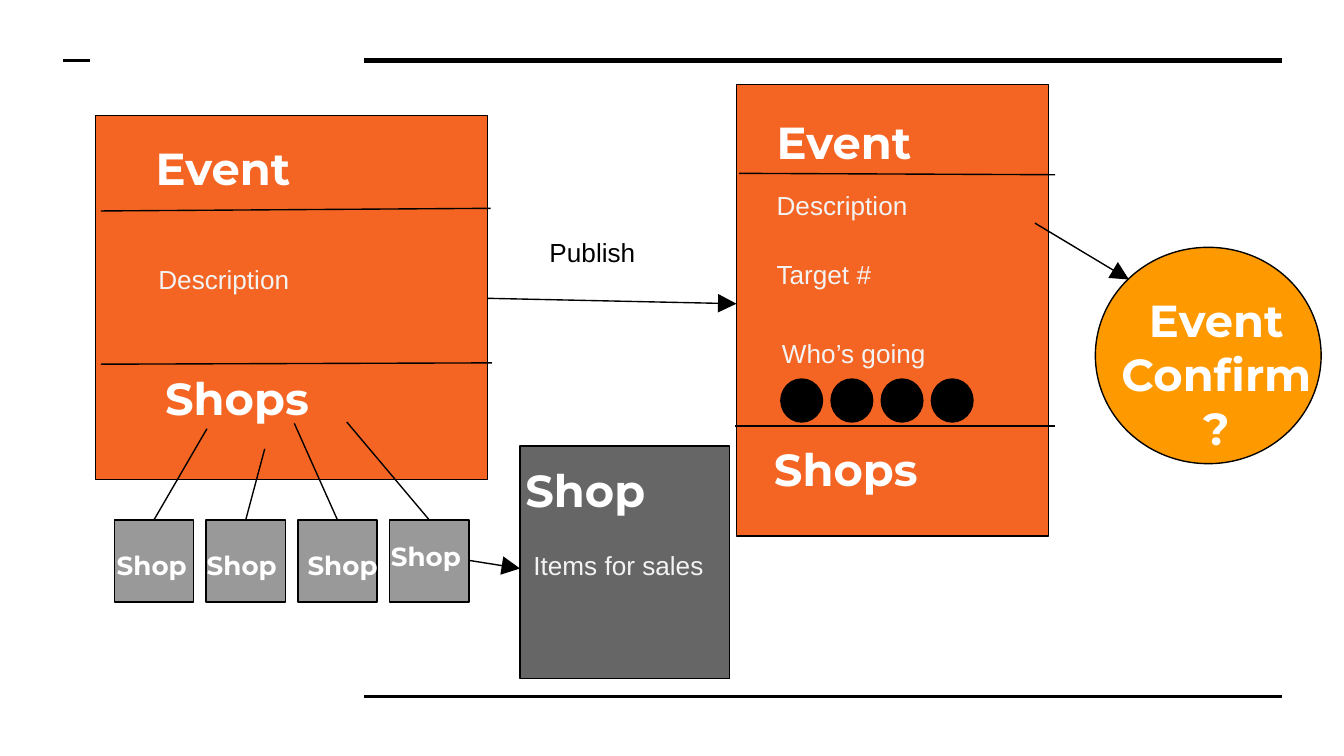
from dataclasses import dataclass

from lxml.etree import SubElement
from pptx import Presentation
from pptx.dml.color import RGBColor
from pptx.enum.shapes import MSO_CONNECTOR, MSO_SHAPE
from pptx.enum.text import MSO_ANCHOR, PP_ALIGN
from pptx.oxml.ns import qn
from pptx.util import Inches, Pt

ORANGE, AMBER = "F46524", "FF9900"
TILE_GRAY, SHOP_GRAY = "999999", "666666"
BLACK, WHITE, PALE = "000000", "FFFFFF", "F3F3F3"


@dataclass
class Panel:
    left: float
    top: float
    width: float
    height: float
    color: str
    kind: MSO_SHAPE = MSO_SHAPE.RECTANGLE


@dataclass
class Line:
    x1: float
    y1: float
    x2: float
    y2: float
    weight: float = 0.75
    arrow: bool = False


@dataclass
class Label:
    text: str
    left: float
    top: float


presentation = Presentation()
presentation.slide_width = Inches(10)
presentation.slide_height = Inches(10 * 9 / 16)
slide = presentation.slides.add_slide(presentation.slide_layouts[6])


def rgb(color: str) -> RGBColor:
    return RGBColor.from_string(color)


def draw_panel(panel: Panel) -> None:
    shape = slide.shapes.add_shape(
        panel.kind, Inches(panel.left), Inches(panel.top),
        Inches(panel.width), Inches(panel.height))
    shape.shadow.inherit = False
    shape.fill.solid()
    shape.fill.fore_color.rgb = rgb(panel.color)
    shape.line.color.rgb = rgb(BLACK)
    shape.line.width = Pt(0.75)


def draw_line(line: Line) -> None:
    connector = slide.shapes.add_connector(
        MSO_CONNECTOR.STRAIGHT, Inches(line.x1), Inches(line.y1),
        Inches(line.x2), Inches(line.y2))
    connector.line.color.rgb = rgb(BLACK)
    connector.line.width = Pt(line.weight)
    if line.arrow:
        SubElement(connector.get_or_add_ln(), qn("a:tailEnd"),
                   type="triangle", w="lg", len="lg")
    SubElement(connector.element.spPr, qn("a:effectLst"))


def write(text: str, left: float, top: float, *, width: float = 1.56,
          height: float = 0.49, size: float = 14, font: str = "Arial",
          color: str = PALE, bold: bool = False,
          align: PP_ALIGN = PP_ALIGN.LEFT) -> None:
    box = slide.shapes.add_textbox(
        Inches(left), Inches(top), Inches(width), Inches(height))
    frame = box.text_frame
    frame.word_wrap = True
    frame.vertical_anchor = MSO_ANCHOR.TOP
    frame.margin_left = frame.margin_right = Inches(0.1)
    frame.margin_top = frame.margin_bottom = Inches(0.1)
    frame.text = text
    for paragraph in frame.paragraphs:
        paragraph.alignment = align
        for run in paragraph.runs:
            run.font.name = font
            run.font.size = Pt(size)
            run.font.bold = bold
            run.font.color.rgb = rgb(color)


HEADING = dict(width=1.68, height=0.68, size=24, font="Montserrat",
               color=WHITE, bold=True)
WIDE = dict(width=7.43, height=0.87)

TILE_LEFT, TILE_TOP, TILE_WIDTH = 0.85, 3.87, 0.59
TILE_STEP = (2.9 - TILE_LEFT) / 3
GUEST_LEFT = 5.81
GUEST_STEP = (6.93 - GUEST_LEFT) / 3

frame_rules = [
    Line(2.71, 0.45, 9.54, 0.45, weight=3),
    Line(2.71, 5.18, 9.54, 5.18, weight=1.5),
    Line(0.47, 0.45, 0.67, 0.45, weight=1.5),
]
panels = [
    Panel(0.71, 0.86, 2.92, 2.71, ORANGE),
    Panel(3.87, 3.32, 1.56, 1.73, SHOP_GRAY),
    Panel(5.48, 0.63, 2.32, 3.36, ORANGE),
    Panel(8.15, 1.84, 1.68, 1.61, AMBER, MSO_SHAPE.OVAL),
]
tiles = [Panel(TILE_LEFT + i * TILE_STEP, TILE_TOP, TILE_WIDTH, 0.61, TILE_GRAY)
         for i in range(4)]
guests = [Panel(GUEST_LEFT + i * GUEST_STEP, 2.82, 0.31, 0.32, BLACK, MSO_SHAPE.OVAL)
          for i in range(4)]
dividers = [
    Line(0.75, 1.57, 3.65, 1.55),
    Line(0.75, 2.71, 3.66, 2.7),
    Line(5.5, 1.29, 7.85, 1.3),
    Line(5.47, 3.17, 7.85, 3.17),
]
branch_ends = [(1.54, 3.19), (1.97, 3.34), (2.19, 3.15), (2.58, 3.14)]
branches = [Line(tile.left + TILE_WIDTH / 2, TILE_TOP, x, y)
            for tile, (x, y) in zip(tiles, branch_ends)]
arrows = [
    Line(3.49, 4.17, 3.87, 4.23, arrow=True),
    Line(3.63, 2.22, 5.48, 2.26, arrow=True),
    Line(7.7, 1.66, 8.4, 2.08, arrow=True),
]
headings = [
    Label("Event", 1.06, 0.95),
    Label("Shops", 1.13, 2.66),
    Label("Shop", 3.81, 3.34),
    Label("Event", 5.68, 0.75),
    Label("Shops", 5.66, 3.19),
]
details = [
    Label("Description", 1.08, 1.86),
    Label("Items for sales", 3.87, 3.99),
    Label("Description", 5.68, 1.31),
    Label("Target #", 5.68, 1.82),
    Label("Who’s going", 5.72, 2.41),
]
tile_names = [Label("Shop", left, top) for left, top in
              [(0.77, 3.99), (1.44, 3.99), (2.19, 3.99), (2.81, 3.92)]]

for rule in frame_rules:
    draw_line(rule)
for panel in panels + tiles + guests:
    draw_panel(panel)
for line in dividers + branches + arrows:
    draw_line(line)
for label in headings:
    write(label.text, label.left, label.top, **HEADING)
for label in details:
    write(label.text, label.left, label.top)
for label in tile_names:
    write(label.text, label.left, label.top, font="Montserrat",
          color=WHITE, bold=True, **WIDE)
write("Publish", 3.99, 1.66, color=BLACK, **WIDE)
write("Event\nConfirm\n?", 8.21, 2.08, align=PP_ALIGN.CENTER, **HEADING)

presentation.save("out.pptx")
